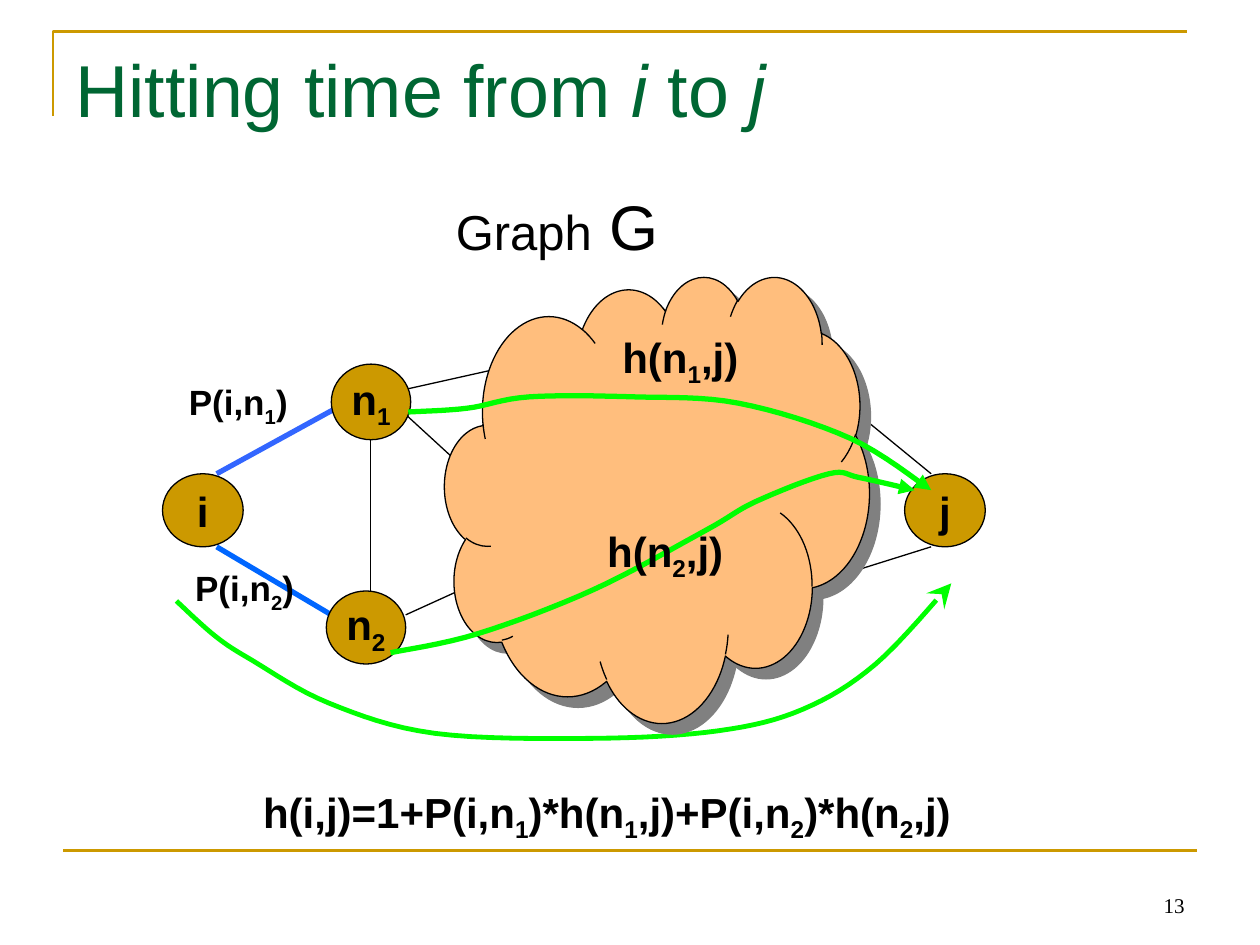
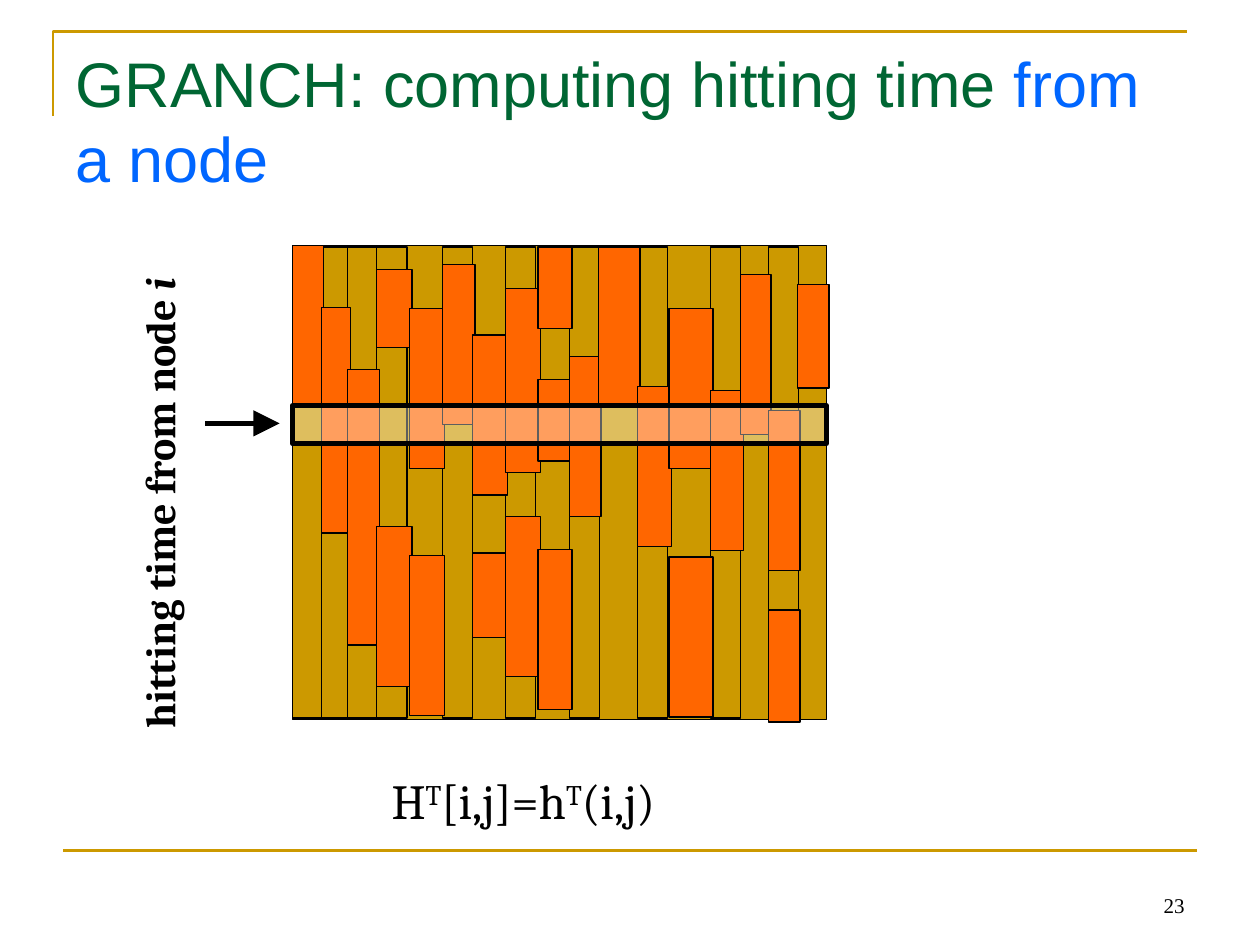
from dataclasses import dataclass
from typing import NamedTuple

import lxml.etree
import pptx
import pptx.dml.color
import pptx.enum.shapes
import pptx.enum.text
import pptx.oxml.ns
import pptx.util

PX = pptx.util.Inches(1) // 100
SHAPE = pptx.enum.shapes.MSO_SHAPE
ALIGN = pptx.enum.text.PP_ALIGN
ANCHOR = pptx.enum.text.MSO_ANCHOR
qn = pptx.oxml.ns.qn
Pt = pptx.util.Pt


@dataclass(frozen=True)
class Theme:
    gold: str = "CC9900"
    green: str = "006633"
    blue: str = "0066FF"
    edge_blue: str = "3366FF"
    black: str = "000000"
    white: str = "FFFFFF"
    orange: str = "FF6600"
    peach: str = "FFBE7D"
    shade: str = "808080"
    track: str = "00FF00"
    sans: str = "Arial"
    serif: str = "Cambria"
    number_font: str = "Times New Roman"
    title: int = 42
    long_title: int = 36
    big: int = 36
    formula: int = 28
    label: int = 24
    small: int = 20
    number: int = 12
    thin: float = 0.75
    rule: float = 1.5
    sweep: float = 2.75
    thick: float = 3


T = Theme()


def font(name: str, size: int, color: str = T.black, bold: bool = False) -> dict:
    return {"name": name, "size": Pt(size), "color": color, "bold": bold}


LABEL = font(T.sans, T.label, bold=True)
SMALL = font(T.sans, T.small, bold=True)


class Run(NamedTuple):
    text: str
    changes: dict = {}


class Point(NamedTuple):
    x: float
    y: float


class Box(NamedTuple):
    left: int
    top: int
    width: int
    height: int

    def emu(self) -> list[int]:
        return [v * PX for v in self]

    def at(self, across: float, down: float) -> Point:
        """The point at these fractions of the width and height."""
        return Point(round(self.left + across * self.width),
                     round(self.top + down * self.height))


class Label(NamedTuple):
    text: str
    box: Box
    fmt: dict


class Arrow(NamedTuple):
    kind: str
    size: str


class Edge(NamedTuple):
    start: Point
    end: Point
    color: str = T.black
    width: float = T.thin
    arrow: Arrow | None = None


class Track(NamedTuple):
    """A smooth green arrow through a few waypoints."""
    waypoints: list[tuple[int, int]]
    width: float
    arrow: Arrow


class Column(NamedTuple):
    """A matrix column and the (top, height) of each filled block in it."""
    left: int
    blocks: list[tuple[int, int]]


def rgb(color: str) -> pptx.dml.color.RGBColor:
    return pptx.dml.color.RGBColor.from_string(color)


def scripted(text: str, mark: str = "_", baseline: int = -25) -> list[Run]:
    """Raise or lower the one character that follows each mark."""
    head, *rest = text.split(mark)
    runs = [Run(head)]
    for part in rest:
        runs.append(Run(part[0], {"baseline": baseline}))
        if part[1:]:
            runs.append(Run(part[1:]))
    return runs


def write(tf, runs: list[Run], fmt: dict, align=ALIGN.LEFT) -> None:
    p = tf.paragraphs[0]
    p.alignment = align
    for run in runs:
        r = p.add_run()
        r.text = run.text
        for key, value in {**fmt, **run.changes}.items():
            if key == "color":
                r.font.color.rgb = rgb(value)
            elif key == "baseline":
                r._r.get_or_add_rPr().set("baseline", str(value * 1000))
            else:
                setattr(r.font, key, value)


def set_line(sp, color: str, width: float, arrow: Arrow | None = None) -> None:
    sp.line.color.rgb = rgb(color)
    sp.line.width = Pt(width)
    if arrow:
        lxml.etree.SubElement(sp.line._get_or_add_ln(), qn("a:tailEnd"),
                              type=arrow.kind, w=arrow.size, len=arrow.size)


def add_shape(s, kind, box: Box, fill: str, width: float = T.thin):
    sp = s.shapes.add_shape(kind, *box.emu())
    sp.shadow.inherit = False
    sp.fill.solid()
    sp.fill.fore_color.rgb = rgb(fill)
    set_line(sp, T.black, width)
    return sp


def add_edge(s, edge: Edge) -> None:
    ends = [v * PX for v in (*edge.start, *edge.end)]
    sp = s.shapes.add_connector(pptx.enum.shapes.MSO_CONNECTOR.STRAIGHT, *ends)
    set_line(sp, edge.color, edge.width, edge.arrow)
    lxml.etree.SubElement(sp._element.spPr, qn("a:effectLst"))


def add_outline(s, points: list[tuple[float, float]], color: str, width: float,
                arrow: Arrow | None = None) -> None:
    emu = [(x * PX, y * PX) for x, y in points]
    builder = s.shapes.build_freeform(*emu[0])
    builder.add_line_segments(emu[1:], close=False)
    sp = builder.convert_to_shape()
    sp.shadow.inherit = False
    sp.fill.background()
    set_line(sp, color, width, arrow)


def smooth(waypoints: list[tuple[int, int]], steps: int = 8) -> list[Point]:
    """Sample a Catmull-Rom curve, which passes through every waypoint."""
    padded = [waypoints[0], *waypoints, waypoints[-1]]
    curve = [Point(*waypoints[0])]
    for before, start, end, after in zip(padded, padded[1:], padded[2:], padded[3:]):
        for t in (n / steps for n in range(1, steps + 1)):
            curve.append(Point(*(
                b + ((c - a) * t + (2 * a - 5 * b + 4 * c - d) * t ** 2
                     + (3 * b - a - 3 * c + d) * t ** 3) / 2
                for a, b, c, d in zip(before, start, end, after))))
    return curve


def add_track(s, track: Track) -> None:
    add_outline(s, smooth(track.waypoints), T.track, track.width, track.arrow)


def add_text(s, runs: list[Run], box: Box, fmt: dict, align=ALIGN.LEFT):
    sp = s.shapes.add_textbox(*box.emu())
    sp.text_frame.word_wrap = True
    write(sp.text_frame, runs, fmt, align)
    return sp


def add_node(s, name: str, box: Box) -> None:
    sp = add_shape(s, SHAPE.OVAL, box, T.gold)
    sp.text_frame.word_wrap = False
    sp.text_frame.vertical_anchor = ANCHOR.MIDDLE
    write(sp.text_frame, scripted(name), LABEL, ALIGN.CENTER)


def add_cloud(s, box: Box) -> None:
    sp = add_shape(s, SHAPE.CLOUD, box, T.peach)
    effects = sp._element.spPr.find(qn("a:effectLst"))
    shadow = lxml.etree.SubElement(effects, qn("a:outerShdw"), blurRad="0",
                                   dist=str(Pt(8.5)), dir="2700000", algn="ctr",
                                   rotWithShape="0")
    lxml.etree.SubElement(shadow, qn("a:srgbClr"), val=T.shade)


def new_slide(prs, title: list[Run], size: int, number: int):
    """Add a slide with the shared frame, title and page number."""
    s = prs.slides.add_slide(prs.slide_layouts.get_by_name("Title Only"))
    add_outline(s, [(42, 92), (42, 25), (942, 25)], T.gold, T.rule)
    add_edge(s, Edge(Point(50, 675), Point(950, 675), T.gold, T.rule))
    sp = s.shapes.title
    sp.left, sp.top, sp.width, sp.height = Box(50, 30, 900, 125).emu()
    frame = {"vertical_anchor": ANCHOR.TOP, "word_wrap": True,
             "auto_size": pptx.enum.text.MSO_AUTO_SIZE.NONE}
    for key, value in frame.items():
        setattr(sp.text_frame, key, value)
    write(sp.text_frame, title, font(T.sans, size, T.green))
    sp = add_text(s, [Run(str(number))], Box(717, 683, 233, 50),
                  font(T.number_font, T.number), ALIGN.RIGHT)
    sp.text_frame.vertical_anchor = ANCHOR.BOTTOM
    return s


# Hitting time: four nodes around a cloud that stands for the rest of the graph
CLOUD = Box(353, 219, 337, 354)
I = Box(129, 376, 64, 58)
J = Box(718, 376, 64, 58)
N1 = Box(263, 289, 63, 60)
N2 = Box(259, 469, 63, 58)
NODES = {"i": I, "j": J, "n_1": N1, "n_2": N2}
THIRD = 1 / 3

EDGES = [
    Edge(N1.at(0.5, 2 * THIRD), Point(N1.at(0.5, 0).x, N2.at(0, THIRD).y)),
    Edge(N1.at(0.94, THIRD), CLOUD.at(0.16, 0.2)),
    Edge(N1.at(0.94, 2 * THIRD), CLOUD.at(0.16, 0.53)),
    Edge(N2.at(1, THIRD), CLOUD.at(0.07, 0.69)),
    Edge(J.at(THIRD, 0), CLOUD.at(0.9, 0.25)),
    Edge(J.at(THIRD, 1), CLOUD.at(0.9, 0.68)),
    Edge(I.at(2 * THIRD, 0), N1.at(0.5, THIRD), T.edge_blue, T.thick),
    Edge(I.at(2 * THIRD, 1), N2.at(0.06, THIRD), T.blue, T.thick),
]
LABELS = [
    Label("P(i,n_1)", Box(140, 297, 114, 48), SMALL),
    Label("P(i,n_2)", Box(145, 445, 114, 48), SMALL),
    Label("h(n_1,j)", Box(484, 258, 145, 56), LABEL),
    Label("h(n_2,j)", Box(472, 412, 145, 56), LABEL),
    Label("h(i,j)=1+P(i,n_1)*h(n_1,j)+P(i,n_2)*h(n_2,j)", Box(199, 619, 603, 56), LABEL),
]
I_TO_J = Track([(140, 477), (171, 505), (200, 524), (261, 558), (345, 582), (471, 586),
                (570, 580), (637, 563), (695, 527), (755, 463)],
               T.sweep, Arrow("stealth", "lg"))
N1_TO_J = Track([(324, 327), (371, 324), (420, 315), (503, 315), (586, 320), (675, 348),
                 (739, 389)], T.thick, Arrow("triangle", "med"))
N2_TO_J = Track([(310, 518), (379, 503), (471, 468), (560, 421), (600, 398), (658, 376),
                 (682, 379), (726, 389)], T.thick, Arrow("triangle", "med"))


def hitting_time_slide(prs) -> None:
    italic = {"italic": True}
    s = new_slide(prs, [Run("Hitting time from "), Run("i ", italic), Run("to "),
                        Run("j", italic)], T.title, 13)
    for edge in EDGES:
        add_edge(s, edge)
    for name, box in NODES.items():
        add_node(s, name, box)
    add_track(s, I_TO_J)
    add_cloud(s, CLOUD)
    for track in (N2_TO_J, N1_TO_J):
        add_track(s, track)
    for label in LABELS:
        add_text(s, scripted(label.text), label.box, label.fmt)
    add_text(s, [Run("Graph"), Run(" G", {"size": Pt(T.big)})], Box(352, 144, 244, 70),
             font(T.sans, T.formula))


# GRANCH: a matrix whose columns are partly filled, with row i picked out
MATRIX = Box(232, 195, 424, 376)
ROW_I = Box(MATRIX.left, 322, MATRIX.width, 30)
STRIPE_WIDTH = 24
OVERLAP = 2
FULL = 127
COLUMNS = [
    Column(232, [(195, FULL)]),
    Column(255, [(244, 179)]),
    Column(276, [(293, 219)]),
    Column(299, [(214, 62), (418, FULL)]),
    Column(325, [(245, FULL), (441, FULL)]),
    Column(351, [(210, FULL)]),
    Column(375, [(266, FULL), (439, 67)]),
    Column(401, [(229, 146), (410, FULL)]),
    Column(427, [(196, 65), (301, 65), (436, FULL)]),
    Column(452, [(283, FULL)]),
    Column(475, [(196, FULL)]),
    Column(506, [(307, FULL)]),
    Column(531, [(245, FULL), (442, FULL)]),
    Column(564, [(310, FULL)]),
    Column(588, [(218, FULL)]),
    Column(610, [(326, FULL), (484, 89)]),
    Column(633, [(226, 82)]),
]


def add_matrix(s) -> None:
    """Draw the stripes, then blocks that reach just past the next column's left."""
    add_shape(s, SHAPE.RECTANGLE, MATRIX, T.gold)
    for column in COLUMNS[:3] + COLUMNS[3::2]:
        stripe = Box(column.left, MATRIX.top + 1, STRIPE_WIDTH, MATRIX.height - 2)
        add_shape(s, SHAPE.RECTANGLE, stripe, T.gold)
    rights = [column.left for column in COLUMNS[1:]] + [MATRIX.left + MATRIX.width]
    for column, right in zip(COLUMNS, rights):
        for top, height in column.blocks:
            block = Box(column.left, top, right - column.left + OVERLAP, height)
            add_shape(s, SHAPE.RECTANGLE, block, T.orange)


def granch_slide(prs) -> None:
    s = new_slide(prs, [Run("GRANCH: computing hitting time "),
                        Run("from a node", {"color": T.blue})], T.long_title, 23)
    add_matrix(s)
    row = add_shape(s, SHAPE.RECTANGLE, ROW_I, T.white, T.thick)
    color = row._element.spPr.find(qn("a:solidFill")).find(qn("a:srgbClr"))
    lxml.etree.SubElement(color, qn("a:alpha"), val="37000")
    add_edge(s, Edge(Point(163, 336), Point(222, 336), width=T.thick,
                     arrow=Arrow("triangle", "lg")))
    caption = add_text(s, [Run("hitting time from node "), Run("i", {"italic": True})],
                       Box(-58, 339, 408, 90), font(T.serif, T.label, bold=True))
    caption.rotation = 270
    add_text(s, scripted("H^T[i,j]=h^T(i,j)", "^", 30), Box(301, 607, 249, 57),
             font(T.serif, T.formula))


def main() -> None:
    prs = pptx.Presentation()
    prs.slide_width, prs.slide_height = 1000 * PX, 750 * PX
    hitting_time_slide(prs)
    granch_slide(prs)
    prs.save("out.pptx")


if __name__ == "__main__":
    main()
